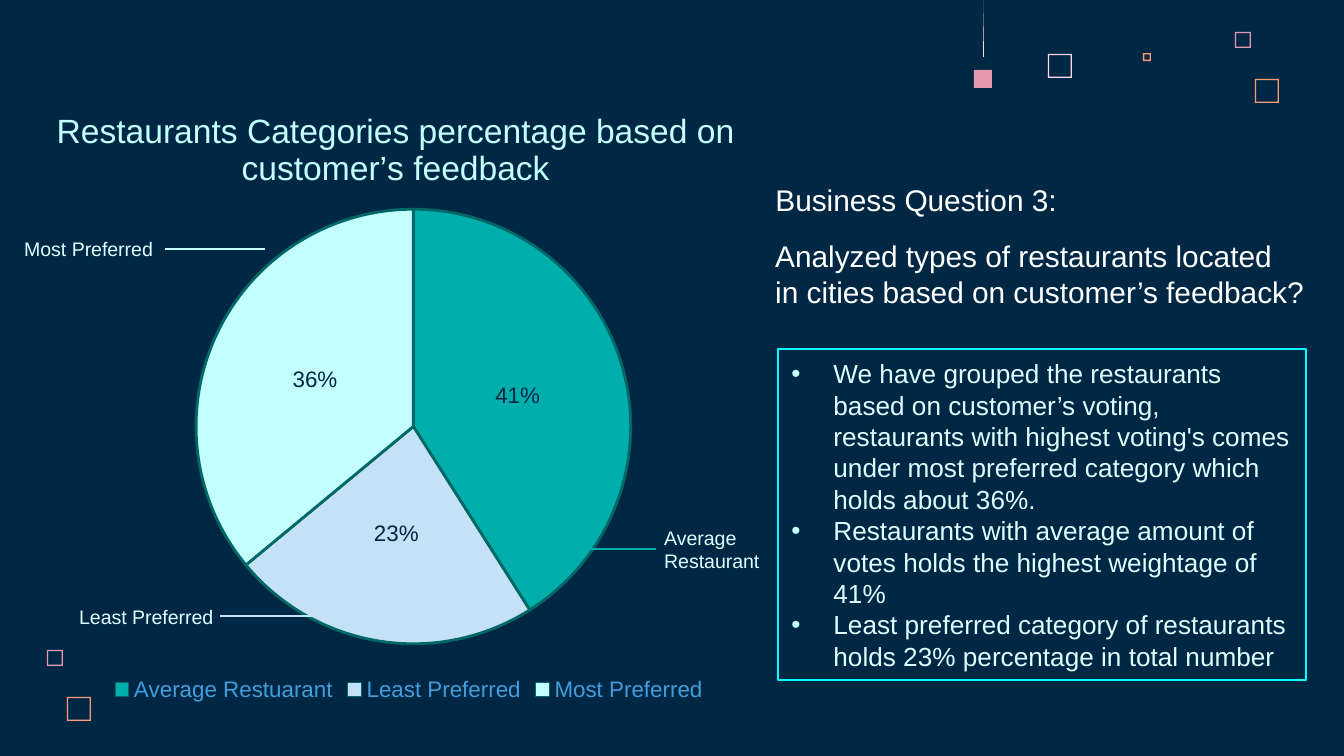
from lxml import etree
from pptx import Presentation
from pptx import util as u
from pptx.chart.data import CategoryChartData
from pptx.dml.color import RGBColor
from pptx.enum import chart as ch
from pptx.enum import shapes, text
from pptx.oxml import parse_xml
from pptx.oxml.ns import nsdecls, qn

SCALE = 914400 / 134.4
FONT = "Arial"
COLORS = {
    "navy": "002845", "white": "FFFFFF", "ice": "DFFFFF", "aqua": "C2FFFE",
    "cyan": "07FFFC", "teal": "00AEAC", "deep": "006866", "sky": "C5E1F5",
    "blue": "439DDD", "blush": "FFD6E1", "rose": "E898AC", "coral": "FF9973",
}
SQUARES = [
    (1048, 54, 24, "blush"), (1235, 32, 16, "rose"), (1143, 53, 8, "coral"),
    (1255, 79, 24, "coral"), (47, 650, 16, "rose"), (67, 697, 24, "coral"),
]
SLICES = [
    ("Average Restuarant", 41, "teal"),
    ("Least Preferred", 23, "sky"),
    ("Most Preferred", 36, "aqua"),
]
CALLOUTS = [
    ("Most Preferred", (11, 230, 164, 39), (265, 165, 249), "aqua"),
    ("Least Preferred", (66, 598, 164, 38), (320, 220, 616), "sky"),
    ("Average\nRestaurant", (651, 519, 124, 60), (656, 573, 549), "teal"),
]
FINDINGS = [
    "We have grouped the restaurants based on customer’s voting, restaurants "
    "with highest voting's comes under most preferred category which holds about 36%.",
    "Restaurants with average amount of votes holds the highest weightage of 41%",
    "Least preferred category of restaurants holds 23% percentage in total number",
]


def px(n):
    return u.Emu(round(n * SCALE))


def rgb(name):
    return RGBColor.from_string(COLORS[name])


def style_font(font, size, color):
    font.name = FONT
    font.size = u.Pt(size)
    font.bold = False
    font.color.rgb = rgb(color)


def place(sp, x, y, w, h):
    sp.left, sp.top, sp.width, sp.height = px(x), px(y), px(w), px(h)


def write(sp, words, size, color, wrap=False, anchor=text.MSO_ANCHOR.TOP):
    tf = sp.text_frame
    tf.text = words
    tf.word_wrap = wrap
    tf.auto_size = text.MSO_AUTO_SIZE.NONE
    tf.vertical_anchor = anchor
    for p in tf.paragraphs:
        p.alignment = text.PP_ALIGN.LEFT
        p.space_before = u.Pt(0)
        for r in p.runs:
            style_font(r.font, size, color)


def add_text(s, words, box, size, color):
    sp = s.shapes.add_textbox(*map(px, box))
    write(sp, words, size, color)


def paint(sp, color):
    sp.shadow.inherit = False
    sp.fill.solid()
    sp.fill.fore_color.rgb = rgb(color)
    sp.line.fill.background()


def add_square(s, x, y, size, color):
    sp = s.shapes.add_shape(shapes.MSO_SHAPE.FRAME, px(x), px(y), px(size), px(size))
    sp.adjustments[0] = 1.3 / size
    paint(sp, color)


def add_pendant(s):
    paint(s.shapes.add_shape(shapes.MSO_SHAPE.RECTANGLE, px(974), px(70), px(18), px(18)), "rose")
    fb = s.shapes.build_freeform(px(983), 0)
    fb.add_line_segments([(px(983), px(57)), (px(984), px(57))], close=True)
    paint(fb.convert_to_shape(), "blush")


def add_leader(s, x1, x2, y, color):
    line = s.shapes.add_connector(shapes.MSO_CONNECTOR.STRAIGHT, px(x1), px(y), px(x2), px(y))
    line.line.color.rgb = rgb(color)
    line.line.width = u.Pt(0.75)
    etree.SubElement(line._element.spPr, qn("a:effectLst"))


def manual_layout(x, y, w=None, h=None, inner=False):
    target = '<c:layoutTarget val="inner"/>' if inner else ""
    size = f'<c:w val="{w}"/><c:h val="{h}"/>' if w else ""
    return parse_xml(
        f'<c:layout {nsdecls("c")}><c:manualLayout>{target}'
        f'<c:xMode val="edge"/><c:yMode val="edge"/>'
        f'<c:x val="{x}"/><c:y val="{y}"/>{size}</c:manualLayout></c:layout>')


def set_layout(parent, layout, index):
    for old in parent.findall(qn("c:layout")):
        parent.remove(old)
    parent.insert(index, layout)


def add_pie(s):
    data = CategoryChartData()
    data.categories = [name for name, _, _ in SLICES]
    data.add_series("Series 1", [value for _, value, _ in SLICES])
    frame = s.shapes.add_chart(ch.XL_CHART_TYPE.PIE, px(-39), px(77), px(896), px(630), data)
    chart = frame.chart
    style_font(chart.font, 10, "blue")

    chart.has_title = True
    title = chart.chart_title
    title.text_frame.text = "Restaurants Categories percentage based on customer’s feedback"
    style_font(title.text_frame.paragraphs[0].runs[0].font, 18, "aqua")
    title.include_in_layout = False
    set_layout(title._element, manual_layout(0.1, 0.04), 1)

    chart.has_legend = True
    chart.legend.position = ch.XL_LEGEND_POSITION.BOTTOM
    chart.legend.include_in_layout = False
    style_font(chart.legend.font, 12, "blue")

    plot = chart.plots[0]
    plot.vary_by_categories = True
    for i, (_, _, color) in enumerate(SLICES):
        fmt = plot.series[0].points[i].format
        fmt.fill.solid()
        fmt.fill.fore_color.rgb = rgb(color)
        fmt.line.color.rgb = rgb("deep")
        fmt.line.width = u.Pt(1.5)
    plot.has_data_labels = True
    labels = plot.data_labels
    labels.show_percentage = True
    labels.show_value = False
    labels.number_format = "0%"
    labels.number_format_is_linked = False
    labels.position = ch.XL_LABEL_POSITION.CENTER
    style_font(labels.font, 12, "navy")
    area = chart._chartSpace.chart.plotArea
    set_layout(area, manual_layout(0.26, 0.21, 0.49, 0.69, inner=True), 0)


def add_findings(sp):
    place(sp, 778, 349, 528, 331)
    sp.line.color.rgb = rgb("cyan")
    sp.line.width = u.Pt(0.75)
    write(sp, "\n".join(FINDINGS), 14, "ice", True, text.MSO_ANCHOR.MIDDLE)
    for p in sp.text_frame.paragraphs:
        pr = p._p.get_or_add_pPr()
        pr.set("marL", str(px(42)))
        pr.set("indent", str(px(-42)))
        color = etree.SubElement(pr, qn("a:buClr"))
        etree.SubElement(color, qn("a:srgbClr"), val=COLORS["aqua"])
        etree.SubElement(pr, qn("a:buFont"), typeface=FONT)
        etree.SubElement(pr, qn("a:buChar"), char="•")


def main():
    prs = Presentation()
    prs.slide_width, prs.slide_height = px(1344), px(756)
    s = prs.slides.add_slide(prs.slide_layouts[1])
    s.background.fill.solid()
    s.background.fill.fore_color.rgb = rgb("navy")
    for square in SQUARES:
        add_square(s, *square)
    add_pendant(s)
    add_pie(s)
    place(s.shapes.title, 762, 175, 312, 50)
    write(s.shapes.title, "Business Question 3:", 16, "white")
    add_text(s, "Analyzed types of restaurants located\nin cities based on customer’s feedback?",
             (762, 231, 562, 86), 16, "white")
    add_findings(s.placeholders[1])
    for words, box, leader, color in CALLOUTS:
        add_leader(s, *leader, color)
        add_text(s, words, box, 10.5, "ice")
    prs.save("out.pptx")


if __name__ == "__main__":
    main()
